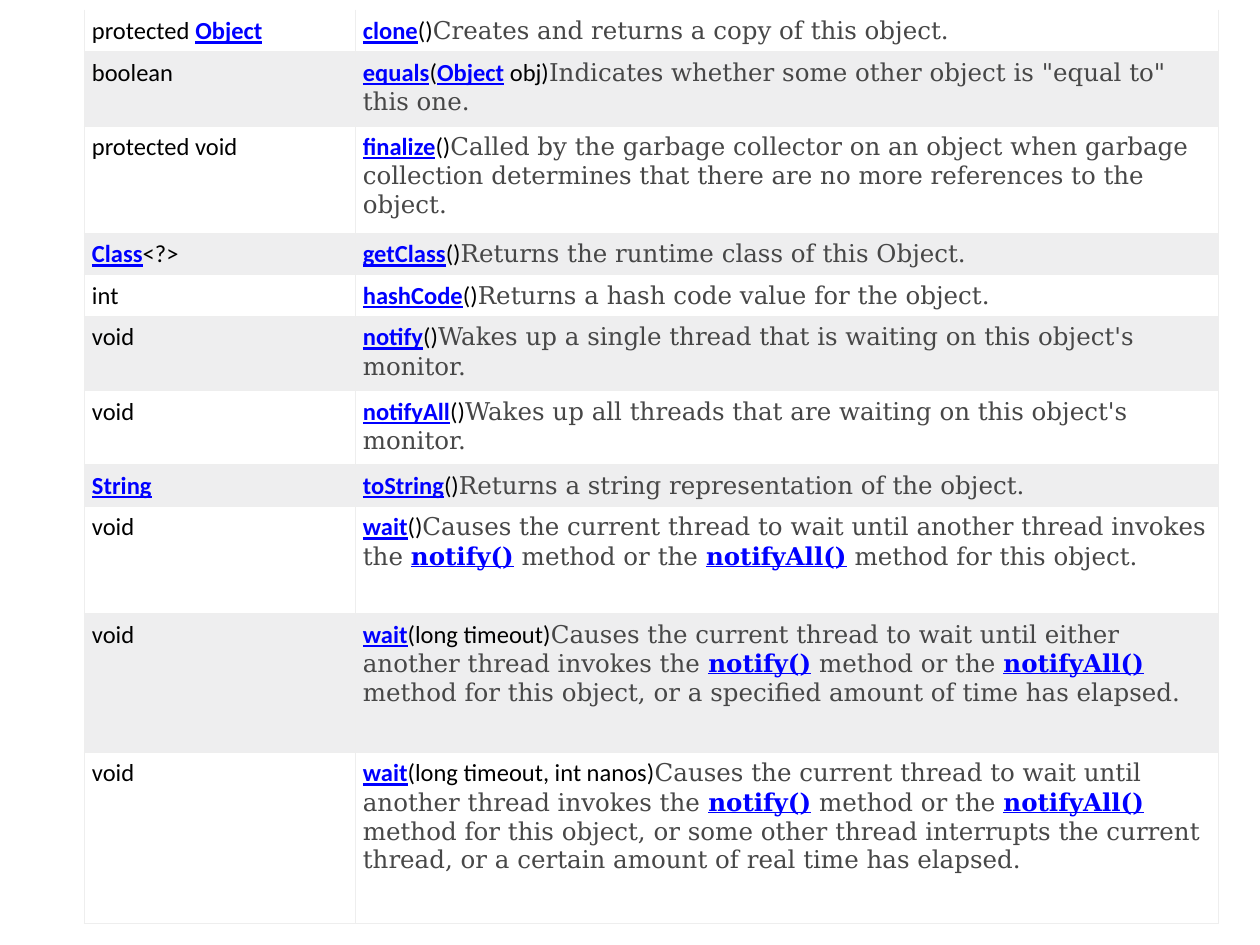
import pptx
import pptx.util
import pptx.dml.color
import pptx.oxml
import pptx.oxml.ns

Inches = pptx.util.Inches
RGB = pptx.dml.color.RGBColor
BLACK = RGB(0x00, 0x00, 0x00)
BLUE = RGB(0x00, 0x00, 0xFF)
GREY = RGB(0x47, 0x47, 0x47)
WHITE = RGB(0xFF, 0xFF, 0xFF)
BAND = RGB(0xEE, 0xEE, 0xEF)
EDGE = RGB(0xEE, 0xEE, 0xEE)

CODE = {"name": "Calibri", "size": pptx.util.Pt(14)}
PROSE = {"name": "DejaVu Serif", "size": pptx.util.Pt(14)}
PLAIN = {"bold": False, "underline": False}
LINK = {"bold": True, "underline": True}
INSET = {"margin_left": Inches(0.06), "margin_top": Inches(0.05),
         "margin_right": Inches(0.02), "margin_bottom": Inches(0.02)}

# Square brackets mark links; a bar parts the signature from its description.
ROWS = [
    (0.33, "protected [Object]", "[clone]()|Creates and returns a copy of this object."),
    (0.59, "boolean", "[equals]([Object] obj)|Indicates whether some other object is \"equal to\" this one."),
    (0.85, "protected void", "[finalize]()|Called by the garbage collector on an object when garbage "
     "collection determines that there are no more references to the object."),
    (0.33, "[Class]<?>", "[getClass]()|Returns the runtime class of this Object."),
    (0.33, "int", "[hashCode]()|Returns a hash code value for the object."),
    (0.59, "void", "[notify]()|Wakes up a single thread that is waiting on this object's monitor."),
    (0.59, "void", "[notifyAll]()|Wakes up all threads that are waiting on this object's monitor."),
    (0.33, "[String]", "[toString]()|Returns a string representation of the object."),
    (0.85, "void", "[wait]()|Causes the current thread to wait until another thread invokes "
     "the [notify()] method or the [notifyAll()] method for this object."),
    (1.1, "void", "[wait](long timeout)|Causes the current thread to wait until either another thread "
     "invokes the [notify()] method or the [notifyAll()] method for this object, "
     "or a specified amount of time has elapsed."),
    (1.36, "void", "[wait](long timeout, int nanos)|Causes the current thread to wait until another "
     "thread invokes the [notify()] method or the [notifyAll()] method for this object, "
     "or some other thread interrupts the current thread, "
     "or a certain amount of real time has elapsed."),
]


def style(item, *looks):
    for look in looks:
        for key, val in look.items():
            setattr(item, key, val)


def edge(cell, side, tint):
    cell._tc.get_or_add_tcPr().append(pptx.oxml.parse_xml(
        f'<a:ln{side} {pptx.oxml.ns.nsdecls("a")} w="7620"><a:solidFill>'
        f'<a:srgbClr val="{tint}"/></a:solidFill></a:ln{side}>'))


deck = pptx.Presentation()
style(deck, {"slide_width": Inches(10), "slide_height": Inches(7.5)})
slide = deck.slides.add_slide(deck.slide_layouts[6])
table = slide.shapes.add_table(len(ROWS), 2, Inches(0.67), Inches(0.08),
                               Inches(9), Inches(7.25)).table
style(table, {"first_row": False, "horz_banding": False})
for col, width in zip(table.columns, (2.15, 6.85)):
    col.width = Inches(width)

for r, (height, *texts) in enumerate(ROWS):
    table.rows[r].height = Inches(height)
    for c, text in enumerate(texts):
        cell = table.cell(r, c)
        style(cell, INSET)
        for side in "LRTB":
            edge(cell, side, WHITE if side == "T" and r == 0 else EDGE)
        cell.fill.solid()
        cell.fill.fore_color.rgb = BAND if r % 2 else WHITE
        para = cell.text_frame.paragraphs[0]
        for part, face, ink in zip(text.split("|"), (CODE, PROSE), (BLACK, GREY)):
            for n, piece in enumerate(part.replace("]", "[").split("[")):
                if piece:
                    run = para.add_run()
                    run.text = piece
                    style(run.font, face, LINK if n % 2 else PLAIN)
                    run.font.color.rgb = BLUE if n % 2 else ink

deck.save("out.pptx")
